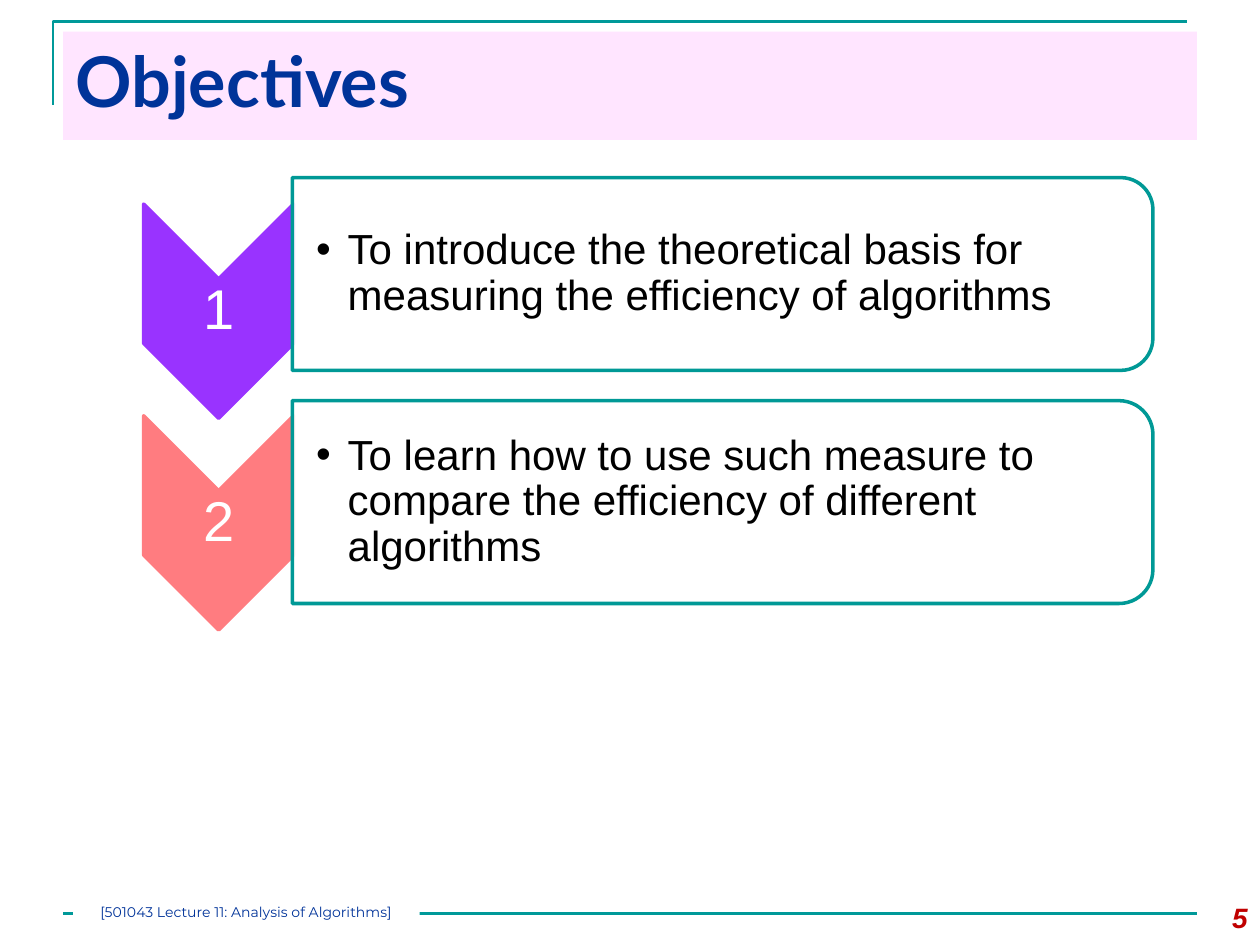
from lxml.etree import SubElement
from pptx import Presentation
from pptx.dml.color import RGBColor
from pptx.enum.shapes import MSO_CONNECTOR as Connector, MSO_SHAPE as Preset
from pptx.enum.text import MSO_ANCHOR as Anchor, PP_ALIGN as Align
from pptx.oxml.ns import qn
from pptx.util import Inches, Pt

COLORS = {
    "teal": "009999", "panel_line": "009996", "title_bg": "FF99FF",
    "navy": "003399", "red": "C00000", "white": "FFFFFF", "black": "000000",
    "purple": "9933FF", "coral": "FF7C80",
}
SLIDE_WIDTH, SLIDE_HEIGHT = Inches(10), Inches(7.5)
COLUMNS, ROWS = 100, 75
OBJECTIVES = [
    ("1", "To introduce the theoretical basis for measuring the efficiency of algorithms",
     "purple", (11.4, 14.1, 78.1, 15.3), 2.1),
    ("2", "To learn how to use such measure to compare the efficiency of different algorithms",
     "coral", (11.4, 31.8, 78.1, 16.1), 1.2),
]


def col(count):
    return round(SLIDE_WIDTH * count / COLUMNS)


def row(count):
    return round(SLIDE_HEIGHT * count / ROWS)


def place(box):
    left, top, width, height = box
    return col(left), row(top), col(width), row(height)


def rgb(name):
    return RGBColor.from_string(COLORS[name])


def paint(shape, fill, line=None, alpha=None):
    shape.fill.solid()
    shape.fill.fore_color.rgb = rgb(fill)
    if alpha:
        color = shape.fill._xPr.find(qn("a:solidFill"))[0]
        SubElement(color, qn("a:alpha")).set("val", str(alpha * 1000))
    if line:
        shape.line.color.rgb = rgb(line)
        shape.line.width = Pt(2)
    else:
        shape.line.fill.background()


def write(shape, text, size, font, color, insets=(0.1, 0.05, 0.1, 0.05),
          align=Align.LEFT, anchor=Anchor.TOP, bold=False, italic=False):
    frame = shape.text_frame
    frame.word_wrap = True
    frame.vertical_anchor = anchor
    (frame.margin_left, frame.margin_top,
     frame.margin_right, frame.margin_bottom) = map(Inches, insets)
    paragraph = frame.paragraphs[0]
    paragraph.alignment = align
    run = paragraph.add_run()
    run.text = text
    run.font.size, run.font.name = Pt(size), font
    run.font.bold, run.font.italic = bold, italic
    run.font.color.rgb = rgb(color)
    return paragraph


def add_turned(slide, preset, box, adjustments):
    left, top, width, height = box
    turned = (left + (width - height) / 2, top + (height - width) / 2, height, width)
    shape = slide.shapes.add_shape(preset, *place(turned))
    shape.rotation = 90
    shape.shadow.inherit = False
    for index, value in enumerate(adjustments):
        shape.adjustments[index] = value
    return shape


def add_bullet(paragraph):
    properties = paragraph._p.get_or_add_pPr()
    properties.set("marL", str(Inches(0.25)))
    properties.set("indent", str(-Inches(0.25)))
    bullet_color = SubElement(properties, qn("a:buClr"))
    SubElement(bullet_color, qn("a:srgbClr")).set("val", COLORS["black"])
    SubElement(properties, qn("a:buFont")).set("typeface", "Arial")
    SubElement(properties, qn("a:buChar")).set("char", "•")


def add_header(slide, box):
    left, top, width, height = box
    corner_x, corner_y = left - 0.8, top - 0.8
    builder = slide.shapes.build_freeform(col(corner_x), row(corner_y + 6.6))
    builder.add_line_segments(
        [(col(corner_x), row(corner_y)), (col(corner_x + width), row(corner_y))], close=False)
    corner = builder.convert_to_shape()
    corner.shadow.inherit = False
    corner.fill.background()
    corner.line.color.rgb = rgb("teal")
    corner.line.width = Pt(1.5)

    title = slide.shapes.title
    title.left, title.top, title.width, title.height = place(box)
    paint(title, "title_bg", alpha=25)
    write(title, "Objectives", 40, "Lato", "navy", bold=True)


def add_objective(slide, box, number, goal, color, chevron_drop):
    left, top, width, height = box
    chevron_width, chevron_height = 11.9, 17
    chevron_top = top + chevron_drop
    chevron = add_turned(slide, Preset.CHEVRON,
                         (left, chevron_top, chevron_width, chevron_height), [0.5])
    paint(chevron, color, color)

    label = slide.shapes.add_textbox(
        *place((left, chevron_top + chevron_width / 2, chevron_width, 5.1)))
    numeral = write(label, number, 32, "Arial", "white", (0.02,) * 4,
                    Align.CENTER, Anchor.MIDDLE)
    numeral.line_spacing = 0.9

    panel_left, panel_width = left + chevron_width - 0.1, width - 9.8
    panel = add_turned(slide, Preset.ROUND_2_SAME_RECTANGLE,
                       (panel_left, top, panel_width, height), [0.167, 0])
    paint(panel, "white", "panel_line", alpha=90)

    goal_text = slide.shapes.add_textbox(
        *place((panel_left, top + 0.8, panel_width - 0.7, height - 1.6)))
    paragraph = write(goal_text, goal, 24, "Arial", "black",
                      (0.19, 0.02, 0.02, 0.02), anchor=Anchor.MIDDLE)
    paragraph.line_spacing = 0.9
    add_bullet(paragraph)


def add_footer(slide, box):
    left, top, width, height = box
    rule_y = row(top + 1.5)
    rule = slide.shapes.add_connector(
        Connector.STRAIGHT, col(left), rule_y, col(left + 90), rule_y)
    rule.line.color.rgb = rgb("teal")
    rule.line.width = Pt(1.5)
    SubElement(rule._element.spPr, qn("a:effectLst"))

    page = slide.shapes.add_textbox(*place((left + width - 6.7, top, 6.7, height)))
    write(page, "5", 16, "Arial", "red", align=Align.RIGHT, bold=True, italic=True)

    lecture = slide.shapes.add_shape(
        Preset.RECTANGLE, *place((left + 0.8, top + 0.7, 27.5, 1.7)))
    lecture.shadow.inherit = False
    paint(lecture, "white")
    write(lecture, "[501043 Lecture 11: Analysis of Algorithms]", 8, "Montserrat", "navy",
          (0,) * 4, Align.CENTER)


def main():
    deck = Presentation()
    deck.slide_width, deck.slide_height = SLIDE_WIDTH, SLIDE_HEIGHT
    slide = deck.slides.add_slide(deck.slide_layouts[5])
    add_header(slide, (5, 2.5, 90, 8.6))
    for number, goal, color, box, chevron_drop in OBJECTIVES:
        add_objective(slide, box, number, goal, color, chevron_drop)
    add_footer(slide, (5, 71, 95, 4))
    deck.save("out.pptx")


if __name__ == "__main__":
    main()
